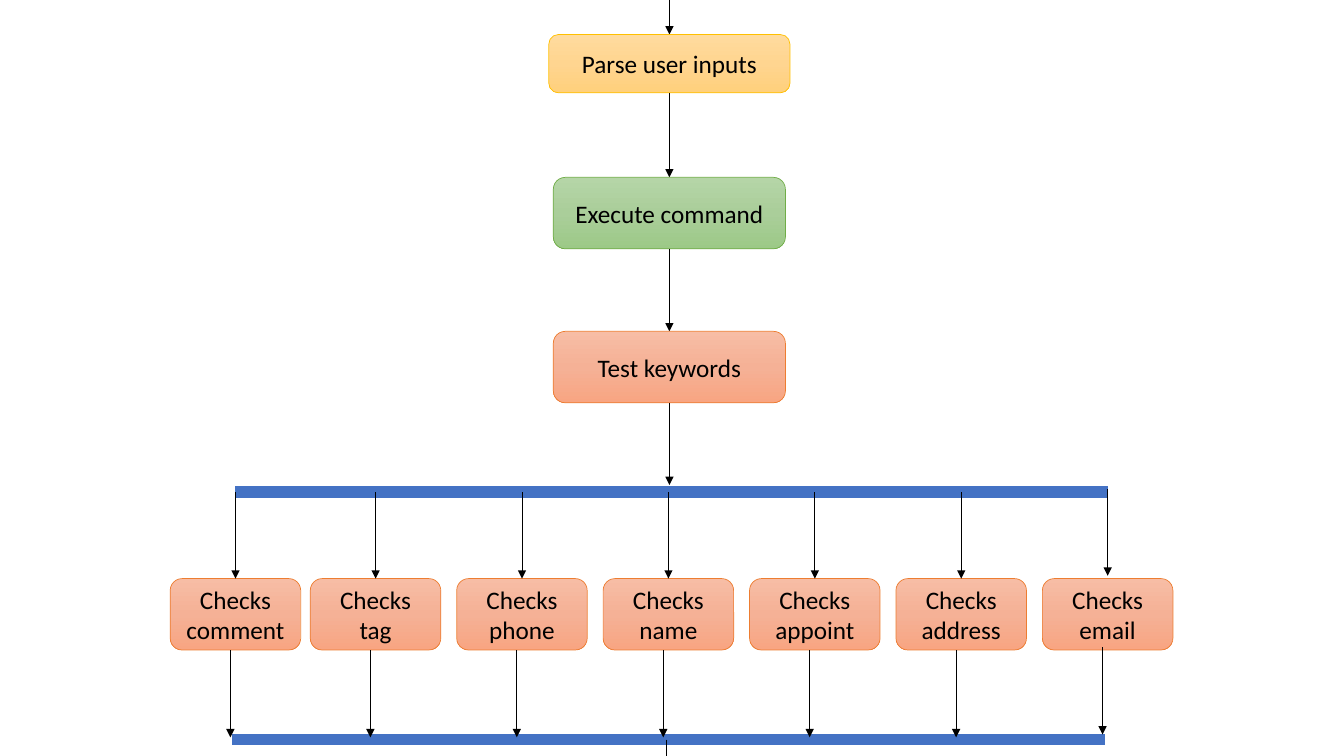
from copy import deepcopy

from lxml import etree
from pptx import Presentation
from pptx.dml.color import RGBColor
from pptx.enum import shapes, text
from pptx.oxml.ns import qn
from pptx.util import Cm, Pt

BLACK = RGBColor(0x00, 0x00, 0x00)
BLUE = RGBColor(0x44, 0x72, 0xC4)
# Each palette: outline, then the top, middle and bottom of the gradient
YELLOW = [RGBColor.from_string(c) for c in ("FFC000", "FFDB9E", "FFD590", "FFD07C")]
GREEN = [RGBColor.from_string(c) for c in ("70AD47", "B5D5A7", "AACE9A", "9CC987")]
ORANGE = [RGBColor.from_string(c) for c in ("ED7D31", "F7BDA5", "F5B196", "F8A582")]

prs = Presentation()
prs.slide_width, prs.slide_height = Cm(33.87), Cm(19.05)
s = prs.slides.add_slide(prs.slide_layouts[6])


def add_step(label, left, top, width, height, palette):
    """Add a rounded box with a vertical three-stop gradient."""
    sp = s.shapes.add_shape(shapes.MSO_SHAPE.ROUNDED_RECTANGLE,
                            Cm(left), Cm(top), Cm(width), Cm(height))
    sp.shadow.inherit = False
    sp.line.color.rgb = palette[0]
    sp.line.width = Pt(0.5)
    sp.fill.gradient()
    sp.fill.gradient_angle = 270
    first = sp._element.spPr.find(".//" + qn("a:gs"))
    middle = deepcopy(first)
    middle.set("pos", "50000")
    first.addnext(middle)
    for stop, color in zip(sp.fill.gradient_stops, palette[1:]):
        stop.color.rgb = color
    tf = sp.text_frame
    tf.word_wrap = True
    tf.vertical_anchor = text.MSO_ANCHOR.MIDDLE
    p = tf.paragraphs[0]
    p.alignment = text.PP_ALIGN.CENTER
    r = p.add_run()
    r.text = label
    r.font.name, r.font.size = "Calibri", Pt(18)
    r.font.color.rgb = BLACK


def add_line(x1, y1, x2, y2, color=BLACK, width=0.5, arrow=True):
    line = s.shapes.add_connector(shapes.MSO_CONNECTOR.STRAIGHT,
                                  Cm(x1), Cm(y1), Cm(x2), Cm(y2))
    line.line.color.rgb = color
    line.line.width = Pt(width)
    if arrow:
        etree.SubElement(line.line._get_or_add_ln(), qn("a:tailEnd"), type="triangle")
    etree.SubElement(line._element.spPr, qn("a:effectLst"))


# Main sequence, each step entered from above
CENTER = 16.87
FORK_Y, JOIN_Y = 12.4, 18.64
steps = [
    ("Parse user inputs", 0.87, 6.08, 1.47, YELLOW),
    ("Execute command", 4.47, 5.85, 1.8, GREEN),
    ("Test keywords", 8.35, 5.85, 1.8, ORANGE),
]
previous_bottom = 0
for label, top, width, height, palette in steps:
    add_line(CENTER, previous_bottom, CENTER, top)
    add_step(label, CENTER - width / 2, top, width, height, palette)
    previous_bottom = top + height
add_line(CENTER, previous_bottom, CENTER, 12.22)

# Fork and join bars
add_line(5.93, FORK_Y, 27.92, FORK_Y, BLUE, 8, arrow=False)
add_line(5.85, JOIN_Y, 27.84, JOIN_Y, BLUE, 8, arrow=False)

# Parallel keyword checks
CHECK_TOP, CHECK_WIDTH, CHECK_HEIGHT = 14.58, 3.29, 1.8
check_bottom = CHECK_TOP + CHECK_HEIGHT
keywords = ["comment", "tag", "phone", "name", "appoint", "address", "email"]
for i, keyword in enumerate(keywords):
    left = 4.29 if i == 0 else 7.82 + 3.69 * (i - 1)
    middle_x = left + CHECK_WIDTH / 2
    lift = 0.07 if keyword == "email" else 0
    add_step("Checks " + keyword, left, CHECK_TOP, CHECK_WIDTH, CHECK_HEIGHT, ORANGE)
    add_line(middle_x, FORK_Y - lift, middle_x, CHECK_TOP - lift)
    add_line(middle_x - 0.13, check_bottom - lift, middle_x - 0.13, 18.58 - lift)

# The flow continues past the bottom edge
add_line(16.79, JOIN_Y, 16.79, 19.05, arrow=False)

prs.save("out.pptx")
